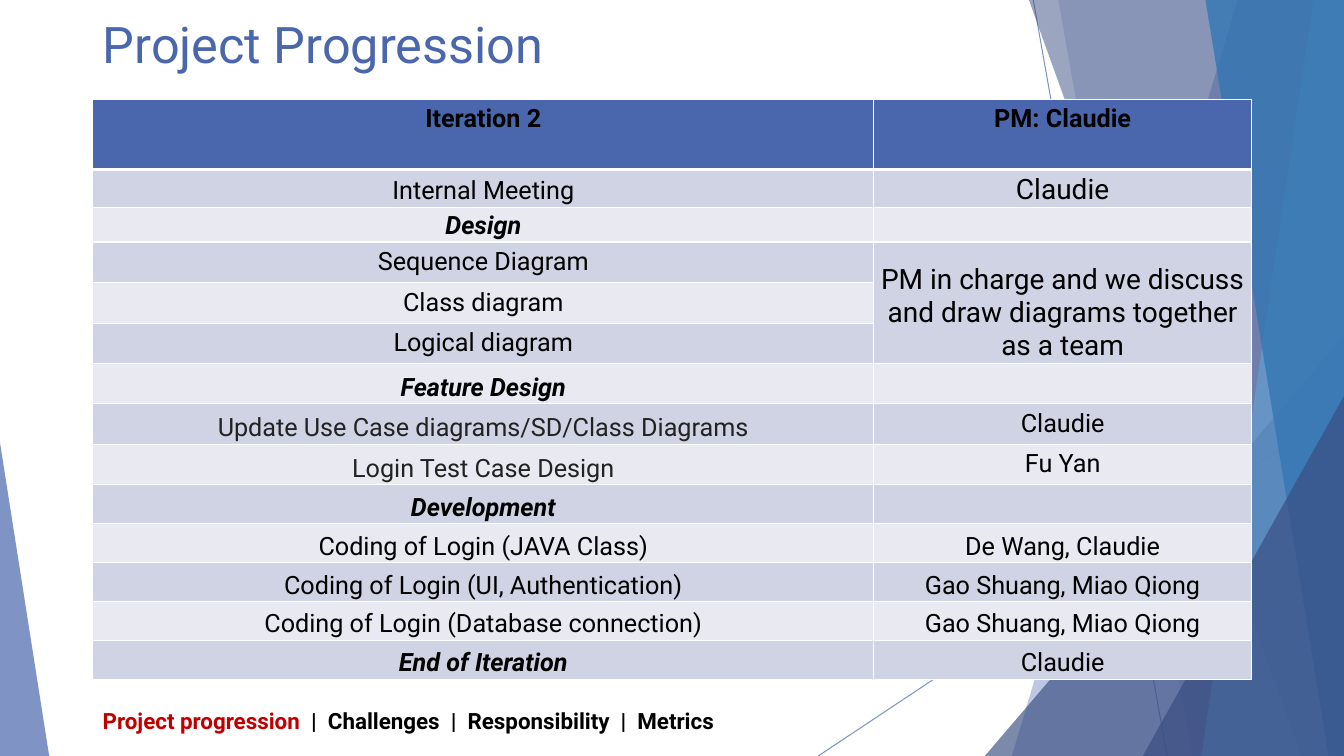
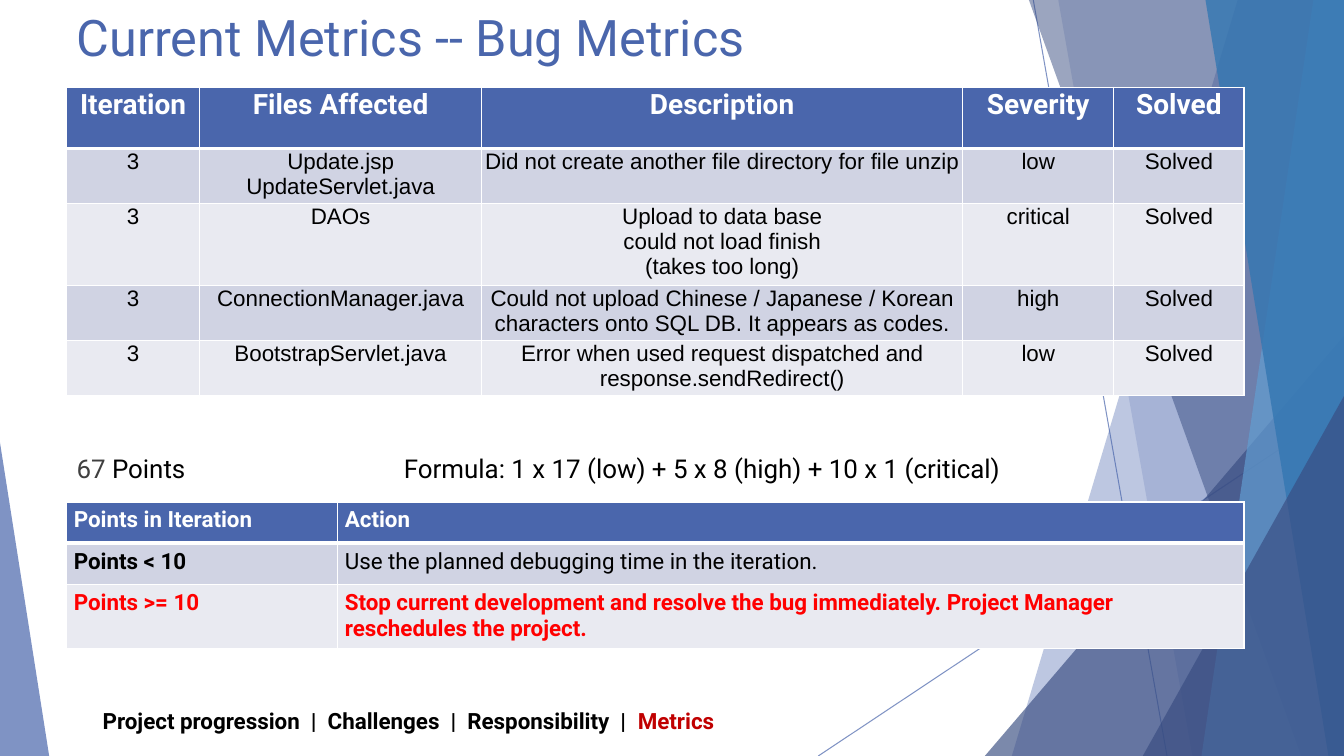
from lxml.etree import SubElement
from pptx import Presentation
from pptx.dml.color import RGBColor
from pptx.enum.shapes import MSO_CONNECTOR, MSO_SHAPE
from pptx.enum.text import MSO_ANCHOR, PP_ALIGN
from pptx.oxml.ns import qn
from pptx.util import Cm, Pt

STRAIGHT = MSO_CONNECTOR.STRAIGHT
TRIANGLE = MSO_SHAPE.ISOSCELES_TRIANGLE
TOP, MIDDLE, BOTTOM = MSO_ANCHOR.TOP, MSO_ANCHOR.MIDDLE, MSO_ANCHOR.BOTTOM
LEFT, CENTER = PP_ALIGN.LEFT, PP_ALIGN.CENTER

WIDTH, HEIGHT = 33.87, 19.05
COLORS = {
    "blue": "4A66AC", "navy": "384C81", "sky": "629DD1", "ocean": "3477B2",
    "white": "FFFFFF", "black": "000000", "ink": "222222", "gray": "404040",
    "active": "C00000", "alert": "FF0000", "odd": "D0D3E3", "even": "E9EAF1",
}
SECTIONS = ["Project progression", "Challenges", "Responsibility", "Metrics"]
DIVIDER = "  |  "


def font(color="black", size=18, bold=False, italic=False, name="Roboto"):
    return {"color": color, "size": Pt(size), "bold": bold, "italic": italic, "name": name}


def frame(anchor=TOP, side=0.25, top=0.13, bottom=0.13):
    return {
        "vertical_anchor": anchor, "margin_left": Cm(side), "margin_right": Cm(side),
        "margin_top": Cm(top), "margin_bottom": Cm(bottom),
    }


ROOMY = frame()
LOW = frame(BOTTOM, 0.05, 0.03, 0.03)
HIGH = frame(TOP, 0.05, 0.03, 0.03)
SNUG = frame(TOP, 0.03, 0.03, 0)
SIDE = frame(side=0.18)

STYLES = {
    "plan head": (font(bold=True), ROOMY, CENTER),
    "task": (font(), LOW, CENTER),
    "ink task": (font("ink"), LOW, CENTER),
    "large task": (font(size=20), LOW, CENTER),
    "high task": (font(), ROOMY, CENTER),
    "phase": (font(bold=True, italic=True), LOW, CENTER),
    "bug head": (font("white", 20, True), HIGH, CENTER),
    "bug": (font(size=16, name="Arial"), SNUG, CENTER),
    "action head": (font("white", 16, True), SIDE, LEFT),
    "range": (font(size=16, bold=True), SIDE, LEFT),
    "action": (font(size=16), SIDE, LEFT),
    "alert": (font("alert", 16, True), SIDE, LEFT),
}


def apply(target, values):
    for name, value in values.items():
        setattr(target, name, value)


def rgb(color):
    return RGBColor.from_string(COLORS[color])


class Deck:
    def __init__(self):
        self.deck = Presentation()
        apply(self.deck, {"slide_width": Cm(WIDTH), "slide_height": Cm(HEIGHT)})
        self.page = None

    def new_page(self, title, left, top, section):
        self.page = self.deck.slides.add_slide(self.deck.slide_layouts[6])
        self.backdrop()
        self.text(left, top, 29.2, 2, [(title, font("blue", 36))])
        self.footer(section)

    def fade(self, shape, opacity):
        color = next(shape.element.spPr.iter(qn("a:srgbClr")))
        SubElement(color, qn("a:alpha"), val=str(opacity * 1000))

    def paint(self, shape, color, opacity):
        shape.shadow.inherit = False
        shape.line.fill.background()
        shape.fill.solid()
        shape.fill.fore_color.rgb = rgb(color)
        self.fade(shape, opacity)

    def line(self, x1, y1, x2, y2):
        line = self.page.shapes.add_connector(STRAIGHT, Cm(x1), Cm(y1), Cm(x2), Cm(y2))
        line.line.color.rgb = rgb("blue")
        line.line.width = Pt(0.75)
        self.fade(line, 70)
        SubElement(line.element.spPr, qn("a:effectLst"))

    def band(self, top_x, bottom_x, color, opacity):
        builder = self.page.shapes.build_freeform(Cm(top_x), 0)
        corners = [(WIDTH, 0), (WIDTH, HEIGHT), (bottom_x, HEIGHT)]
        builder.add_line_segments([(Cm(x), Cm(y)) for x, y in corners], close=True)
        self.paint(builder.convert_to_shape(), color, opacity)

    def triangle(self, left, top, right, apex, color, opacity):
        shape = self.page.shapes.add_shape(
            TRIANGLE, Cm(left), Cm(top), Cm(right - left), Cm(HEIGHT - top))
        shape.adjustments[0] = apex
        self.paint(shape, color, opacity)

    def backdrop(self):
        self.line(26.04, 0, 29.41, HEIGHT)
        self.line(WIDTH, 10.24, 20.62, HEIGHT)
        self.band(31.19, 25.5, "blue", 36)
        self.band(26.67, 30.05, "blue", 20)
        self.triangle(24.82, 8.46, WIDTH, 1, "navy", 66)
        self.band(25.93, 32.79, "navy", 50)
        self.band(33.1, 30.28, "sky", 70)
        self.band(30.38, 33.48, "ocean", 80)
        self.triangle(28.8, 9.98, WIDTH, 1, "navy", 66)
        self.triangle(0, 11.15, 1.24, 0, "blue", 70)

    def add_spans(self, para, text, look):
        for index, part in enumerate(text.split("\n")):
            if index:
                para.add_line_break()
            span = para.add_run()
            span.text = part
            apply(span.font, {key: value for key, value in look.items() if key != "color"})
            span.font.color.rgb = rgb(look["color"])

    def text(self, left, top, width, height, spans, anchor=TOP, tab=None):
        box = self.page.shapes.add_textbox(Cm(left), Cm(top), Cm(width), Cm(height))
        box.text_frame.word_wrap = True
        apply(box.text_frame, frame(anchor))
        para = box.text_frame.paragraphs[0]
        if tab:
            stops = SubElement(para._p.get_or_add_pPr(), qn("a:tabLst"))
            SubElement(stops, qn("a:tab"), pos=str(Cm(tab)), algn="l")
        for text, look in spans:
            self.add_spans(para, text, look)

    def footer(self, active):
        spans = []
        for section in SECTIONS:
            if spans:
                spans.append((DIVIDER, font(size=16, bold=True)))
            color = "active" if section == active else "black"
            spans.append((section, font(color, 16, True)))
        self.text(2.34, 17.65, 29.2, 1.02, spans, MIDDLE)

    def borders(self, cell, row):
        widths = {"L": 1, "R": 1, "T": 3 if row == 1 else 1, "B": 1 if row else 3}
        for side, width in widths.items():
            edge = SubElement(cell._tc.get_or_add_tcPr(), qn(f"a:ln{side}"), w=str(Pt(width)))
            fill = SubElement(edge, qn("a:solidFill"))
            SubElement(fill, qn("a:srgbClr"), val=COLORS["white"])

    def table(self, left, top, widths, heights, rows, merges=()):
        table = self.page.shapes.add_table(
            len(rows), len(widths), Cm(left), Cm(top), Cm(sum(widths)), Cm(sum(heights))).table
        for column, width in zip(table.columns, widths):
            column.width = Cm(width)
        for row, height in zip(table.rows, heights):
            row.height = Cm(height)
        for r, cells in enumerate(rows):
            fill = ("odd" if r % 2 else "even") if r else "blue"
            for c, (text, style) in enumerate(cells):
                cell = table.cell(r, c)
                look, layout, align = STYLES[style]
                apply(cell, layout)
                self.borders(cell, r)
                cell.fill.solid()
                cell.fill.fore_color.rgb = rgb(fill)
                para = cell.text_frame.paragraphs[0]
                para.alignment = align
                if text:
                    self.add_spans(para, text, look)
        for first, last in merges:
            table.cell(*first).merge(table.cell(*last))


def progression(deck):
    deck.new_page("Project Progression", 2.34, 0.2, "Project progression")
    empty = ("", "task")
    rows = [
        [("Iteration 2", "plan head"), ("PM: Claudie", "plan head")],
        [("Internal Meeting", "task"), ("Claudie", "large task")],
        [("Design", "phase"), empty],
        [("Sequence Diagram", "high task"),
         ("PM in charge and we discuss and draw diagrams together as a team", "large task")],
        [("Class diagram", "high task"), empty],
        [("Logical diagram", "high task"), empty],
        [("Feature Design", "phase"), empty],
        [("Update Use Case diagrams/SD/Class Diagrams", "ink task"), ("Claudie", "high task")],
        [("Login Test Case Design", "ink task"), ("Fu Yan", "high task")],
        [("Development", "phase"), empty],
        [("Coding of Login (JAVA Class)", "task"), ("De Wang, Claudie", "task")],
        [("Coding of Login (UI, Authentication)", "task"), ("Gao Shuang, Miao Qiong", "task")],
        [("Coding of Login (Database connection)", "task"), ("Gao Shuang, Miao Qiong", "task")],
        [("End of Iteration", "phase"), ("Claudie", "task")],
    ]
    heights = [1.77, 0.95, 0.88] + [1] * 6 + [0.98] * 5
    deck.table(2.34, 2.5, [19.68, 9.52], heights, rows, [((3, 1), (5, 1))])


def metrics(deck):
    deck.new_page("Current Metrics -- Bug Metrics", 1.68, 0.02, "Metrics")
    heads = ["Iteration", "Files Affected", "Description", "Severity", "Solved"]
    bugs = [
        ("Update.jsp\nUpdateServlet.java",
         "Did not create another file directory for file unzip", "low"),
        ("DAOs", "Upload to data base\ncould not load finish\n(takes too long)", "critical"),
        ("ConnectionManager.java",
         "Could not upload Chinese / Japanese / Korean\n"
         "characters onto SQL DB. It appears as codes.", "high"),
        ("BootstrapServlet.java",
         "Error when used request dispatched and response.sendRedirect()", "low"),
    ]
    rows = [[(head, "bug head") for head in heads]]
    rows += [[(text, "bug") for text in ("3", *bug, "Solved")] for bug in bugs]
    deck.table(1.68, 2.2, [3.35, 7.11, 12.12, 3.81, 3.28], [1.54, 1.27, 1.92, 1.28, 1.28], rows)
    deck.text(1.68, 11.28, 29.2, 1.04, [
        ("67 ", font("gray", 18.5)),
        ("Points\tFormula: 1 x 17 (low) + 5 x 8 (high) + 10 x 1 (critical)", font(size=18.5)),
    ], tab=8.25)
    actions = [
        [("Points in Iteration", "action head"), ("Action", "action head")],
        [("Points < 10", "range"),
         ("Use the planned debugging time in the iteration.", "action")],
        [("Points >= 10", "alert"),
         ("Stop current development and resolve the bug immediately. "
          "Project Manager reschedules the project.", "alert")],
    ]
    deck.table(1.68, 12.65, [6.83, 22.84], [1.04, 1.04, 1.58], actions)


def main():
    deck = Deck()
    progression(deck)
    metrics(deck)
    deck.deck.save("out.pptx")


if __name__ == "__main__":
    main()
